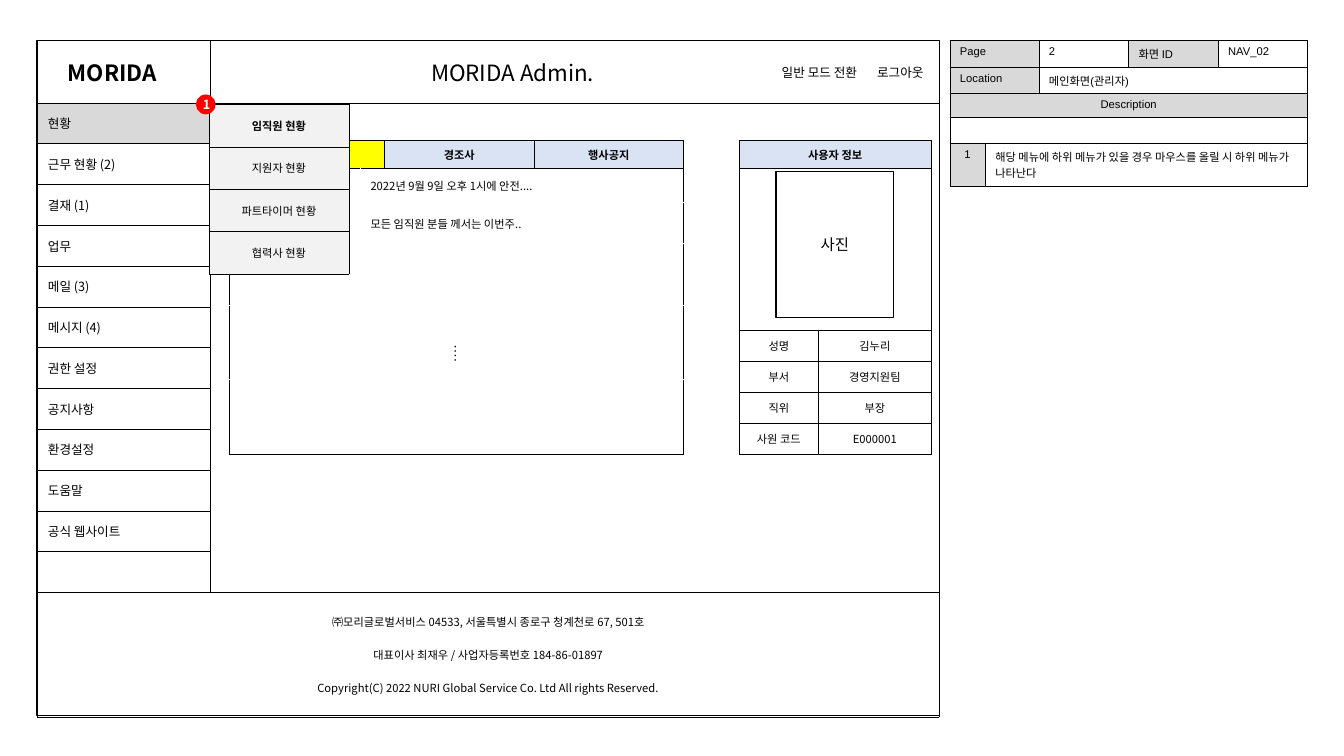
from lxml.etree import SubElement
from pptx import Presentation
from pptx.dml.color import RGBColor
from pptx.enum.shapes import MSO_SHAPE as Shape
from pptx.enum.text import MSO_ANCHOR as Anchor, PP_ALIGN as Align
from pptx.oxml.ns import qn
from pptx.util import Pt

BLACK = RGBColor(0x00, 0x00, 0x00)
WHITE = RGBColor(0xFF, 0xFF, 0xFF)
RED = RGBColor(0xFF, 0x00, 0x00)
YELLOW = RGBColor(0xFF, 0xFF, 0x00)
GRAY = RGBColor(0xD9, 0xD9, 0xD9)
PALE = RGBColor(0xF2, 0xF2, 0xF2)
BLUE = RGBColor(0xDA, 0xE3, 0xF3)
SANS, ARIAL = "Noto Sans CJK KR", "Arial"
NO_STYLE = "{2D5ABB26-0587-4C30-8999-92F81FD0307C}"

# Content: None continues the cell to its left
MENU = ["MORIDA", "현황", "근무 현황 (2)", "결재 (1)", "업무", "메일 (3)", "메시지 (4)",
        "권한 설정", "공지사항", "환경설정", "도움말", "공식 웹사이트", ""]
SPEC = [
    ["Page", None, "2", "화면 ID", "NAV_02"],
    ["Location", None, "메인화면(관리자)", None, None],
    ["Description", None, None, None, None],
    ["", None, None, None, None],
    ["1", "해당 메뉴에 하위 메뉴가 있을 경우 마우스를 올릴 시 하위 메뉴가 나타난다", None, None, None],
]
HEADER = ["MORIDA Admin.", "일반 모드 전환", "로그아웃"]
FOOTER = "\n".join([
    "㈜모리글로벌서비스 04533, 서울특별시 종로구 청계천로 67, 501호",
    "대표이사 최재우 / 사업자등록번호 184-86-01897",
    "Copyright(C) 2022 NURI Global Service Co. Ltd All rights Reserved.",
])
NOTICES = [
    ["공지사항", None, "경조사", "행사공지"],
    ["2022.09.06", "2022년 9월 9일 오후 1시에 안전....", None, None],
    ["2022.09.07", "모든 임직원 분들 께서는 이번주..", None, None],
    ["", "", None, None],
    ["", "", None, None],
    ["", "", None, None],
]
USER = [["사용자 정보", None], ["", None], ["성명", "김누리"], ["부서", "경영지원팀"],
        ["직위", "부장"], ["사원 코드", "E000001"]]
SUBMENU = ["임직원 현황", "지원자 현황", "파트타이머 현황", "협력사 현황"]

deck = Presentation()
deck.slide_width, deck.slide_height = Pt(960), Pt(540)
page = deck.slides.add_slide(deck.slide_layouts[6])


def format_text(frame, size=8, font=SANS, bold=False, align=Align.LEFT, color=BLACK, gap=0):
    for index, para in enumerate(frame.paragraphs):
        para.alignment = align
        if index and gap:
            para.space_before = Pt(gap)
        for span in para.runs:
            span.font.size, span.font.bold, span.font.name = Pt(size), bold, font
            span.font.color.rgb = color
            SubElement(span.font._element, qn("a:ea"), typeface=SANS)
        if not para.runs:
            SubElement(para._p, qn("a:endParaRPr"), sz=str(size * 100))


def set_borders(cell, black, white):
    props = cell._tc.get_or_add_tcPr()
    for side in "LRTB":
        if side in black + white:
            color, width = (BLACK, 0.25) if side in black else (WHITE, 1)
            line = SubElement(props, qn("a:ln" + side), w=str(Pt(width)))
            SubElement(SubElement(line, qn("a:solidFill")), qn("a:srgbClr"), val=str(color))


def add_grid(left, top, widths, heights, rows, style):
    """Draw a table; style(row, column) gives the look of each cell."""
    holder = page.shapes.add_table(len(rows), len(widths), Pt(left), Pt(top),
                                   Pt(sum(widths)), Pt(sum(heights)))
    table = holder.table
    table.first_row = table.horz_banding = False
    table._tbl.tblPr.find(qn("a:tableStyleId")).text = NO_STYLE
    for column, width in zip(table.columns, widths):
        column.width = Pt(width)
    for r, (row, height) in enumerate(zip(rows, heights)):
        table.rows[r].height = Pt(height)
        for c, text in enumerate(row):
            if text is not None:
                first = c
            look = dict(style(r, first))
            cell = table.cell(r, c)
            set_borders(cell, look.pop("black", "LRTB"), look.pop("white", ""))
            fill = look.pop("fill", None)
            if fill is None:
                cell.fill.background()
            else:
                cell.fill.solid()
                cell.fill.fore_color.rgb = fill
            cell.vertical_anchor = look.pop("anchor", Anchor.MIDDLE)
            cell.margin_left = Pt(look.pop("indent", 7.2))
            pad = Pt(look.pop("pad", 3.6))
            cell.margin_top = cell.margin_bottom = pad
            cell.text_frame.text = text or ""
            format_text(cell.text_frame, **look)
        for c, text in enumerate(row):
            if text is not None:
                last = c
                while last + 1 < len(row) and row[last + 1] is None:
                    last += 1
                if last > c:
                    table.cell(r, c).merge(table.cell(r, last))


def add_shape(kind, left, top, width, height, fill=None, line=None, text="", inset=7.2, **look):
    box = page.shapes.add_shape(kind, Pt(left), Pt(top), Pt(width), Pt(height))
    box.shadow.inherit = False
    if fill is None:
        box.fill.background()
    else:
        box.fill.solid()
        box.fill.fore_color.rgb = fill
    if line is None:
        box.line.fill.background()
    else:
        box.line.color.rgb, box.line.width = line, Pt(1)
    frame = box.text_frame
    frame.margin_left = frame.margin_right = Pt(inset)
    frame.margin_top = frame.margin_bottom = Pt(inset / 2)
    frame.vertical_anchor = Anchor.MIDDLE
    if text:
        frame.text = text
        format_text(frame, align=Align.CENTER, **look)


def menu_style(r, c):
    if r == 0:
        return dict(size=16, bold=True, indent=21.5, black="RB")
    return dict(size=9, black="TRB", fill=GRAY if r == 1 else None)


def spec_style(r, c):
    labels = [(0, 0), (0, 3), (1, 0), (2, 0), (4, 0)]
    centred = (r, c) in [(2, 0), (4, 0)]
    return dict(font=ARIAL, anchor=Anchor.TOP, fill=GRAY if (r, c) in labels else None,
                align=Align.CENTER if centred else Align.LEFT)


def header_style(r, c):
    return dict(size=[16, 9, 9][c], black="B", indent=[60, 7.2, 7.2][c],
                align=[Align.CENTER, Align.RIGHT, Align.LEFT][c])


def notice_style(r, c):
    if r == 0:
        return dict(bold=True, align=Align.CENTER, fill=BLUE if c else YELLOW, pad=2.9)
    black = ("R" if c else "L") + ("T" if r == 1 else "") + ("B" if r == len(NOTICES) - 1 else "")
    white = "".join(side for side in "LRTB" if side not in black)
    return dict(fill=WHITE, black=black, white=white, pad=2.9)


def user_style(r, c):
    return dict(bold=r == 0, align=Align.CENTER, fill=WHITE if r else BLUE, pad=2.9)


def submenu_style(r, c):
    return dict(bold=r == 0, align=Align.CENTER, fill=PALE)


# Side menu, screen description and page frame
add_grid(27, 29, [123], [44.4] + [29.16] * 12, [[item] for item in MENU], menu_style)
add_grid(678.5, 29, [25.2, 38.4, 64, 64, 64], [19, 18.8, 16.5, 18.8, 30.5], SPEC, spec_style)
add_shape(Shape.RECTANGLE, 26.5, 29, 644.5, 482, line=BLACK)

# Header and footer
add_grid(149.3, 29, [381, 89, 52], [44.8], [HEADER], header_style)
add_grid(26.8, 423.2, [644], [89], [[FOOTER]],
         lambda r, c: dict(align=Align.CENTER, gap=11.8))

# Notice board
add_grid(163.4, 100.3, [94.1, 13, 106.8, 106.8], [20, 24.5, 29.3, 44, 53.2, 53.2],
         NOTICES, notice_style)
dots = page.shapes.add_textbox(Pt(315.4), Pt(239), Pt(26.6), Pt(17.3))
dots.text_frame.text = "…."
dots.text_frame.vertical_anchor = Anchor.MIDDLE
dots.text_frame.word_wrap = False
dots.text_frame._txBody.bodyPr.set("vert", "eaVert")
format_text(dots.text_frame, size=10, font=ARIAL, align=Align.CENTER)

# User card
add_grid(528, 100.3, [56.7, 80.5], [20, 115.8] + [22.15] * 4, USER, user_style)
add_shape(Shape.RECTANGLE, 554.4, 122.4, 84, 104.6, WHITE, BLACK, "사진", size=11)

# Open submenu with its marker
add_grid(149.3, 74.6, [100], [30.3] * 4, [[item] for item in SUBMENU], submenu_style)
add_shape(Shape.OVAL, 139.9, 67.5, 14.2, 14.2, RED, text="1", inset=2.9,
          size=9, bold=True, color=WHITE)

deck.save("out.pptx")
